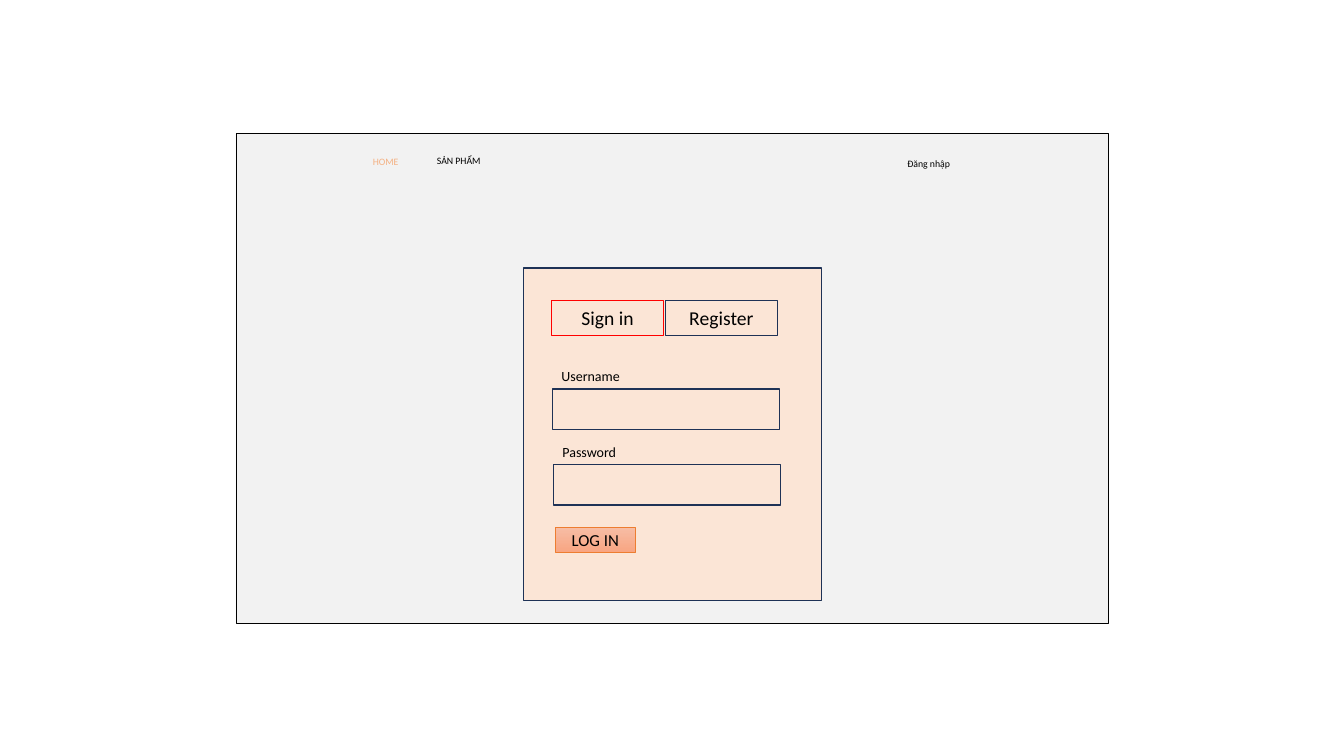
from pptx import Presentation
from pptx import util as u
from pptx.dml.color import RGBColor
from pptx.enum import shapes, text

PX = 9144
FONT = "Calibri"
HUES = {
    "page": "F2F2F2",
    "card": "FBE5D6",
    "ink": "000000",
    "navy": "1E3256",
    "red": "FF0000",
    "peach": "F4B183",
    "rim": "ED7D31",
    "light": "F7BDA5",
    "deep": "F8A582",
}


def hue(name):
    return RGBColor.from_string(HUES[name])


def place(*sides):
    return [u.Emu(side * PX) for side in sides]


def write(shape, words, size, tint="ink", center=True, middle=True):
    frame = shape.text_frame
    frame.word_wrap = True
    frame.vertical_anchor = text.MSO_ANCHOR.MIDDLE if middle else text.MSO_ANCHOR.TOP
    frame.text = words
    para = frame.paragraphs[0]
    para.alignment = text.PP_ALIGN.CENTER if center else text.PP_ALIGN.LEFT
    font = para.runs[0].font
    font.name = FONT
    font.size = u.Pt(size)
    font.color.rgb = hue(tint)


def add_box(group, spot, line, width=1, fill=None):
    box = group.shapes.add_shape(shapes.MSO_SHAPE.RECTANGLE, *place(*spot))
    box.shadow.inherit = False
    if fill:
        box.fill.solid()
        box.fill.fore_color.rgb = hue(fill)
    else:
        box.fill.background()
    box.line.color.rgb = hue(line)
    box.line.width = u.Pt(width)
    return box


def add_label(group, spot, words, size, **style):
    label = group.shapes.add_textbox(*place(*spot))
    write(label, words, size, **style)


def add_tab(group, left, words, line):
    tab = add_box(group, (left, 298, 111, 35), line)
    write(tab, words, 14)


def add_field(group, left, top, words):
    add_label(group, (left, top, 225, 28), words, 10, center=False)
    add_box(group, (left + 1, top + 27, 225, 40), "navy")


def add_button(group, spot, words):
    button = add_box(group, spot, "rim", 0.5)
    button.fill.gradient()
    button.fill.gradient_angle = 270
    for stop, name in zip(button.fill.gradient_stops, ("light", "deep")):
        stop.color.rgb = hue(name)
    write(button, words, 12)


def main():
    deck = Presentation()
    deck.slide_width, deck.slide_height = place(1333, 750)
    slide = deck.slides.add_slide(deck.slide_layouts[6])
    group = slide.shapes.add_group_shape()

    add_box(group, (234, 132, 865, 486), "ink", 0.25, "page")
    add_label(group, (348, 150, 69, 20), "HOME", 7, tint="peach", middle=False)
    add_label(group, (890, 152, 69, 20), "Đăng nhập", 7, center=False, middle=False)
    add_label(group, (416, 149, 78, 25), "SẢN PHẨM", 7, middle=False)

    add_box(group, (519, 266, 296, 330), "navy", 1, "card")
    add_tab(group, 547, "Sign in", "red")
    add_tab(group, 660, "Register", "navy")
    add_field(group, 547, 359, "Username")
    add_field(group, 548, 434, "Password")
    add_button(group, (551, 523, 79, 25), "LOG IN")

    deck.save("out.pptx")


if __name__ == "__main__":
    main()
